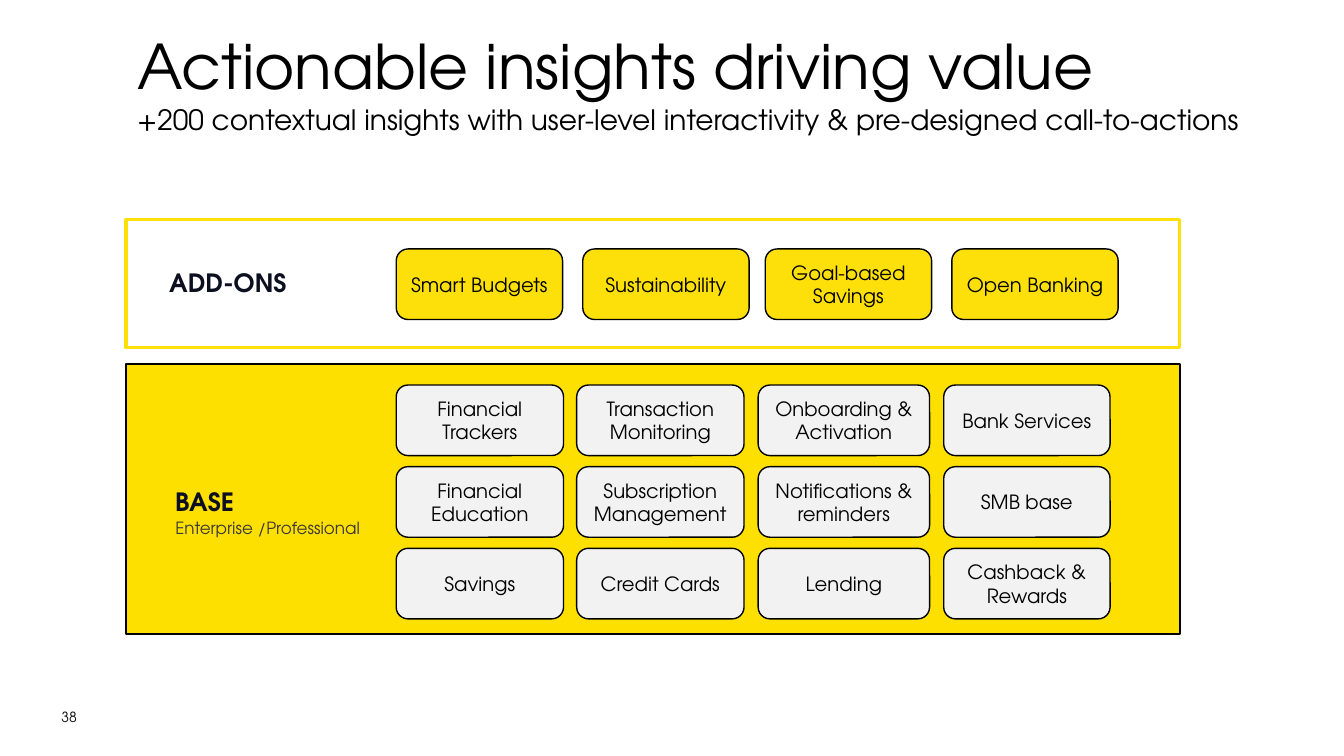
from pptx import Presentation
from pptx.dml.color import RGBColor
from pptx.enum.shapes import MSO_SHAPE
from pptx.enum.text import MSO_ANCHOR, MSO_AUTO_SIZE, PP_ALIGN
from pptx.util import Inches, Pt

FONT = "TeX Gyre Adventor"
BLACK = RGBColor(0x00, 0x00, 0x00)
WHITE = RGBColor(0xFF, 0xFF, 0xFF)
BASE_YELLOW = RGBColor(0xFE, 0xE0, 0x00)
ADDON_YELLOW = RGBColor(0xFD, 0xE0, 0x09)
CARD_GREY = RGBColor(0xF2, 0xF2, 0xF2)
HEADING_NAVY = RGBColor(0x0B, 0x0F, 0x1F)
CAPTION_GREY = RGBColor(0x3B, 0x38, 0x38)
NUMBER_GREY = RGBColor(0x0D, 0x0D, 0x0D)

CARD_HEIGHT = 0.7
ADDON_COLUMNS = [(2.68, 1.65), (4.53, 1.65), (6.34, 1.65), (8.19, 1.65)]
BASE_COLUMNS = [(2.68, 1.66), (4.47, 1.66), (6.27, 1.7), (8.11, 1.65)]
ADDONS = [["Smart Budgets", "Sustainability", "Goal-based Savings", "Open Banking"]]
BASE_INSIGHTS = [
    ["Financial Trackers", "Transaction Monitoring", "Onboarding & Activation", "Bank Services"],
    ["Financial Education", "Subscription Management", "Notifications & reminders", "SMB base"],
    ["Savings", "Credit Cards", "Lending", "Cashback & Rewards"],
]


def style_run(run, size, color, bold=False):
    run.font.name = FONT
    run.font.size = Pt(size)
    run.font.color.rgb = color
    run.font.bold = bold


def write(frame, text, size, color, bold=False, align=PP_ALIGN.LEFT, spacing=1.0):
    frame.word_wrap = True
    frame.vertical_anchor = MSO_ANCHOR.MIDDLE
    frame.text = text
    paragraph = frame.paragraphs[0]
    paragraph.alignment = align
    paragraph.line_spacing = spacing
    style_run(paragraph.runs[0], size, color, bold)


def add_label(slide, left, top, width, height, text, size, color, **style):
    label = slide.shapes.add_textbox(Inches(left), Inches(top), Inches(width), Inches(height))
    write(label.text_frame, text, size, color, **style)


def add_box(slide, preset, left, top, width, height, fill, line, line_width):
    box = slide.shapes.add_shape(
        preset, Inches(left), Inches(top), Inches(width), Inches(height))
    box.shadow.inherit = False
    box.fill.solid()
    box.fill.fore_color.rgb = fill
    box.line.color.rgb = line
    box.line.width = Pt(line_width)
    return box


def add_cards(slide, left, top, columns, pitch, rows, fill):
    for row, names in enumerate(rows):
        for (offset, width), name in zip(columns, names):
            card = add_box(slide, MSO_SHAPE.ROUNDED_RECTANGLE, left + offset,
                           top + row * pitch, width, CARD_HEIGHT, fill, BLACK, 1)
            write(card.text_frame, name, 14, BLACK, align=PP_ALIGN.CENTER)


def add_heading(slide, left, top, width, height):
    title = slide.shapes.title
    title.left, title.top = Inches(left), Inches(top)
    title.width, title.height = Inches(width), Inches(height)
    frame = title.text_frame
    frame.text = ("Actionable insights driving value\v"
                  "+200 contextual insights with user-level interactivity"
                  " & pre-designed call-to-actions")
    frame.word_wrap = True
    frame.auto_size = MSO_AUTO_SIZE.NONE
    frame.vertical_anchor = MSO_ANCHOR.TOP
    frame.paragraphs[0].alignment = PP_ALIGN.LEFT
    for run, size in zip(frame.paragraphs[0].runs, (44, 20)):
        style_run(run, size, BLACK)


def add_base(slide, left, top, width, height):
    add_box(slide, MSO_SHAPE.RECTANGLE, left, top, width, height, BASE_YELLOW, BLACK, 1.5)
    add_label(slide, left + 0.01, top + 0.97, 1.54, 0.82, "BASE", 18, HEADING_NAVY,
              bold=True, align=PP_ALIGN.CENTER, spacing=0.9)
    add_label(slide, left + 0.39, top + 1.35, 2.15, 0.57, "Enterprise /Professional",
              12, CAPTION_GREY, spacing=0.9)
    add_cards(slide, left, top + 0.21, BASE_COLUMNS, 0.81, BASE_INSIGHTS, CARD_GREY)


def add_addons(slide, left, top, width, height):
    add_box(slide, MSO_SHAPE.RECTANGLE, left, top, width, height, WHITE, ADDON_YELLOW, 2.25)
    add_label(slide, left + 0.33, top + 0.23, 1.54, 0.82, "ADD-ONS", 18, HEADING_NAVY,
              bold=True, spacing=0.9)
    add_cards(slide, left, top + 0.29, ADDON_COLUMNS, 0, ADDONS, ADDON_YELLOW)


def main():
    presentation = Presentation()
    presentation.slide_width = Inches(13.33)
    presentation.slide_height = Inches(7.5)
    slide = presentation.slides.add_slide(presentation.slide_layouts[5])
    add_heading(slide, 1.26, 0.23, 12.36, 1.33)
    add_addons(slide, 1.25, 2.18, 10.45, 1.27)
    add_base(slide, 1.25, 3.61, 10.45, 2.68)
    add_label(slide, 0.51, 6.91, 1.29, 0.4, "38", 10, NUMBER_GREY)
    presentation.save("out.pptx")


if __name__ == "__main__":
    main()
